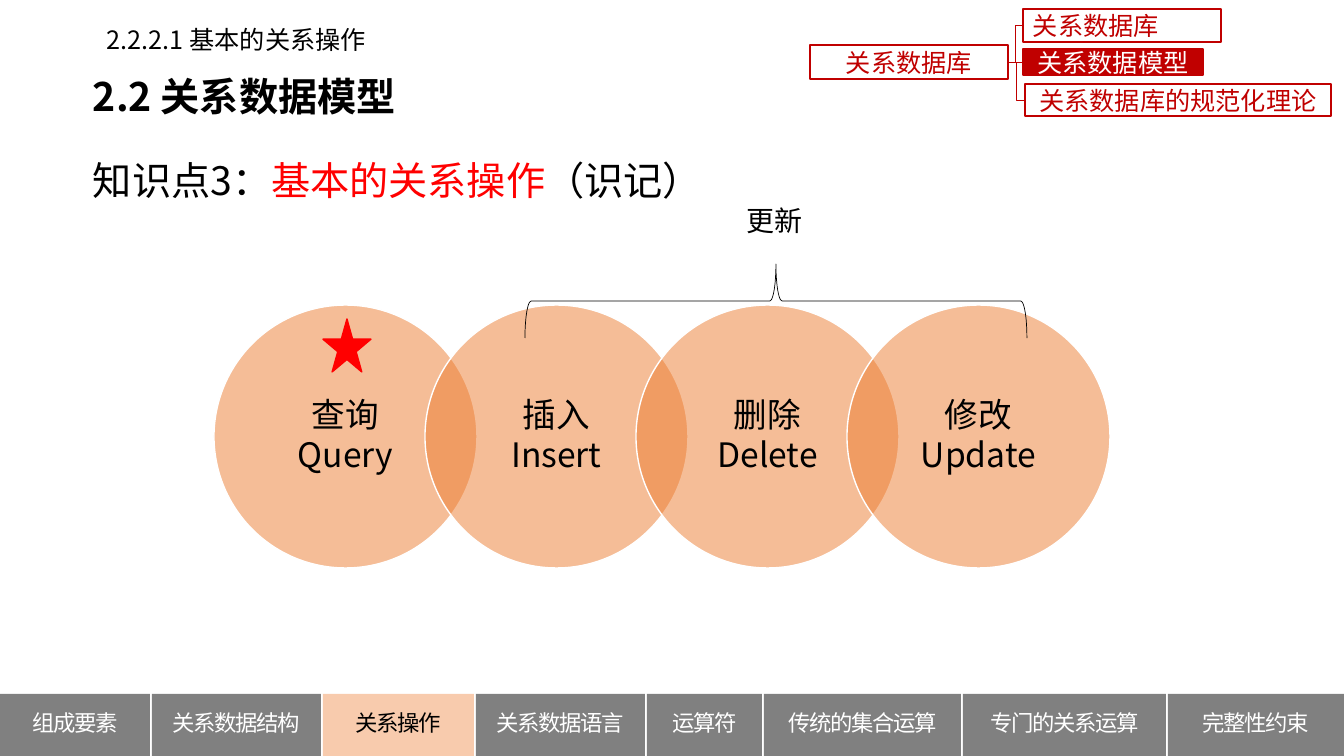
from lxml.etree import SubElement
from pptx import Presentation
from pptx.dml.color import RGBColor
from pptx.enum.shapes import MSO_CONNECTOR, MSO_SHAPE
from pptx.enum.text import MSO_ANCHOR, MSO_AUTO_SIZE, PP_ALIGN
from pptx.oxml.ns import qn
from pptx.util import Emu, Pt

BLACK = RGBColor(0x00, 0x00, 0x00)
WHITE = RGBColor(0xFF, 0xFF, 0xFF)
RED = RGBColor(0xFF, 0x00, 0x00)
DARK_RED = RGBColor(0xC0, 0x00, 0x00)
ORANGE = RGBColor(0xED, 0x7D, 0x31)
PEACH = RGBColor(0xF8, 0xCB, 0xAD)
GRAY = RGBColor(0x80, 0x80, 0x80)
SANS = "Noto Sans CJK SC"
DIAGRAM_SANS = "Noto Sans CJK JP"

SLIDE_WIDTH, SLIDE_HEIGHT = 1344, 756
EMU_PER_PX = 12192000 / SLIDE_WIDTH

TITLE = "2.2 关系数据模型"
TOPIC = [("知识点3：", BLACK), ("基本的关系操作", RED), ("（识记）", BLACK)]
LABELS = [("2.2.2.1 基本的关系操作", (97, 19, 291, 40), 18), ("更新", (737, 199, 77, 44), 20)]
OPERATIONS = [("查询", "Query"), ("插入", "Insert"), ("删除", "Delete"), ("修改", "Update")]
TABS = [
    ("组成要素", 150), ("关系数据结构", 169), ("关系操作", 151), ("关系数据语言", 169),
    ("运算符", 115), ("传统的集合运算", 197), ("专门的关系运算", 203), ("完整性约束", 176),
]
CURRENT_TAB = "关系操作"
ROOT = ("关系数据库", (810, 45, 198, 34), WHITE, DARK_RED, PP_ALIGN.CENTER)
BRANCHES = [
    ("关系数据库", (1023, 9, 198, 33), WHITE, DARK_RED, PP_ALIGN.LEFT),
    ("关系数据模型", (1023, 49, 180, 26), DARK_RED, WHITE, PP_ALIGN.CENTER),
    ("关系数据库的规范化理论", (1025, 84, 306, 32), WHITE, DARK_RED, PP_ALIGN.CENTER),
]
CIRCLE_LEFT, CIRCLE_TOP, CIRCLE_SIZE, CIRCLE_PITCH = 214, 305, 263, 211
TAB_TOP, TAB_HEIGHT, TAB_GAP = 694, 62, 2


def px(length):
    return Emu(round(length * EMU_PER_PX))


def apply(target, values):
    for name, value in values.items():
        setattr(target, name, value)


def place(shape, box):
    apply(shape, dict(zip(("left", "top", "width", "height"), map(px, box))))


def write(shape, paragraphs, size, frame=None, layout=None, font=SANS, bold=False, spacing=None):
    text_frame = shape.text_frame
    apply(text_frame, frame or {})
    for index, runs in enumerate(paragraphs):
        paragraph = text_frame.add_paragraph() if index else text_frame.paragraphs[0]
        apply(paragraph, layout or {})
        for text, color in runs:
            run = paragraph.add_run()
            run.text = text
            apply(run.font, {"size": Pt(size), "name": font, "bold": bold})
            run.font.color.rgb = color
            properties = run.font._element
            SubElement(properties, qn("a:ea")).set("typeface", font)
            if spacing is not None:
                properties.set("spc", str(spacing))


def add_shape(slide, kind, box, fill=None, line=None, line_width=1):
    shape = slide.shapes.add_shape(kind, *map(px, box))
    shape.shadow.inherit = False
    for part, color in ((shape.fill, fill), (shape.line.fill, line)):
        if color is None:
            part.background()
        else:
            part.solid()
            part.fore_color.rgb = color
    if line is not None:
        shape.line.width = Pt(line_width)
    return shape


def add_headings(slide):
    title, body = slide.placeholders
    insets = {
        "margin_left": px(12), "margin_right": px(12), "margin_top": px(6), "margin_bottom": px(6),
        "auto_size": MSO_AUTO_SIZE.NONE, "word_wrap": True,
    }
    place(title, (81, 66, 973, 59))
    write(title, [[(TITLE, BLACK)]], 28, {**insets, "vertical_anchor": MSO_ANCHOR.TOP},
          {"alignment": PP_ALIGN.LEFT}, bold=True)
    place(body, (81, 116, 1226, 105))
    write(body, [TOPIC], 28, {**insets, "vertical_anchor": MSO_ANCHOR.MIDDLE},
          {"line_spacing": 1.5, "space_before": Pt(0)})
    properties = body.text_frame.paragraphs[0]._p.get_or_add_pPr()
    properties.set("marL", "0")
    properties.set("indent", "0")
    SubElement(properties, qn("a:buNone"))
    for text, box, size in LABELS:
        label = slide.shapes.add_textbox(*map(px, box))
        write(label, [[(text, BLACK)]], size, {"word_wrap": False})


def add_operations(slide):
    frame = {
        "margin_left": px(14), "margin_right": px(14), "margin_top": px(3), "margin_bottom": px(3),
        "vertical_anchor": MSO_ANCHOR.MIDDLE,
    }
    layout = {"alignment": PP_ALIGN.CENTER, "line_spacing": 0.9, "space_after": Pt(3)}
    for index, names in enumerate(OPERATIONS):
        box = (CIRCLE_LEFT + index * CIRCLE_PITCH, CIRCLE_TOP, CIRCLE_SIZE, CIRCLE_SIZE)
        circle = add_shape(slide, MSO_SHAPE.OVAL, box, ORANGE, WHITE)
        fill_color = circle.element.spPr.find(qn("a:solidFill"))[0]
        SubElement(fill_color, qn("a:alpha")).set("val", "50000")
        write(circle, [[(name, BLACK)] for name in names], 24, frame, layout, DIAGRAM_SANS)
    brace = add_shape(slide, MSO_SHAPE.RIGHT_BRACE, (739, 50, 74, 502), None, BLACK, 0.5)
    brace.rotation = 270
    add_shape(slide, MSO_SHAPE.STAR_5_POINT, (323, 319, 48, 53), RED, RED)


def add_tabs(slide):
    left = 0
    for name, width in TABS:
        current = name == CURRENT_TAB
        tab = add_shape(slide, MSO_SHAPE.RECTANGLE, (left, TAB_TOP, width, TAB_HEIGHT),
                        PEACH if current else GRAY)
        write(tab, [[(name, BLACK if current else WHITE)]], 16,
              {"vertical_anchor": MSO_ANCHOR.MIDDLE},
              {"alignment": PP_ALIGN.CENTER, "line_spacing": Pt(16)}, spacing=-100)
        left += width + TAB_GAP


def add_tree_box(slide, text, box, fill, color, alignment):
    shape = add_shape(slide, MSO_SHAPE.RECTANGLE, box, fill, DARK_RED)
    write(shape, [[(text, color)]], 18, {"vertical_anchor": MSO_ANCHOR.MIDDLE},
          {"alignment": alignment})
    return shape


def add_tree(slide):
    root = add_tree_box(slide, *ROOT)
    for branch in BRANCHES:
        child = add_tree_box(slide, *branch)
        connector = slide.shapes.add_connector(MSO_CONNECTOR.ELBOW, 0, 0, 0, 0)
        connector.begin_connect(child, 1)
        connector.end_connect(root, 3)
        connector.line.color.rgb = DARK_RED
        connector.line.width = Pt(0.5)
        SubElement(connector.element.spPr, qn("a:effectLst"))


def main():
    presentation = Presentation()
    apply(presentation, {"slide_width": px(SLIDE_WIDTH), "slide_height": px(SLIDE_HEIGHT)})
    slide = presentation.slides.add_slide(presentation.slide_layouts[1])
    add_headings(slide)
    add_operations(slide)
    add_tabs(slide)
    add_tree(slide)
    presentation.save("out.pptx")


if __name__ == "__main__":
    main()
